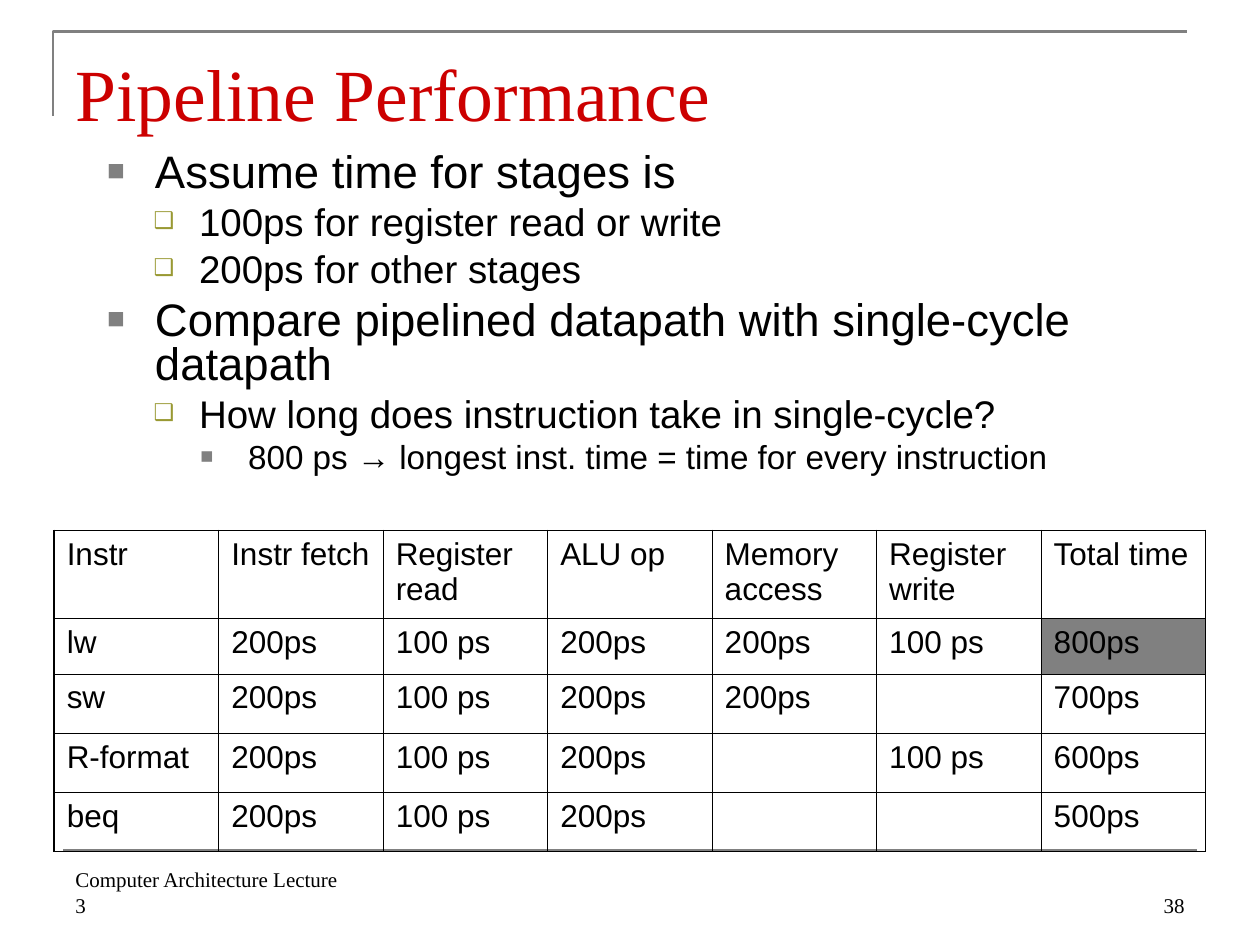
from lxml.etree import SubElement
from pptx import Presentation
from pptx.dml.color import RGBColor
from pptx.enum.shapes import MSO_CONNECTOR as Conn
from pptx.enum.text import MSO_ANCHOR as Anchor, MSO_AUTO_SIZE as AutoSize, PP_ALIGN as Align
from pptx.oxml.ns import qn
from pptx.util import Pt

PX = 9144
COLORS = {"text": "000000", "title": "CC0000", "gray": "808080", "olive": "999933"}
SERIF, SANS = "Times New Roman", "Arial"

LEVELS = [
    dict(size=26, left=38, hang=38, before=6.5, char="■", color="gray", pct=65),
    dict(size=22, left=73, hang=36, before=5.5, char="❑", color="olive", pct=60),
    dict(size=19, left=112, hang=38, before=4.8, char="■", color="gray", pct=65),
]
POINTS = [
    (0, "Assume time for stages is"),
    (1, "100ps for register read or write"),
    (1, "200ps for other stages"),
    (0, "Compare pipelined datapath with single-cycle datapath"),
    (1, "How long does instruction take in single-cycle?"),
    (2, "800 ps → longest inst. time = time for every instruction"),
]
TIMES = [
    ["Instr", "Instr fetch", "Register read", "ALU op", "Memory access", "Register write", "Total time"],
    ["lw", "200ps", "100 ps", "200ps", "200ps", "100 ps", "800ps"],
    ["sw", "200ps", "100 ps", "200ps", "200ps", "", "700ps"],
    ["R-format", "200ps", "100 ps", "200ps", "", "100 ps", "600ps"],
    ["beq", "200ps", "100 ps", "200ps", "", "", "500ps"],
]
ROW_HEIGHTS = [70, 44, 47, 47, 47]
LONGEST = (1, 6)


def rgb(name):
    return RGBColor.from_string(COLORS[name])


def emu(*lengths):
    return [n * PX for n in lengths]


def place(sp, box):
    sp.left, sp.top, sp.width, sp.height = emu(*box)


def format_runs(p, size, font, color="text"):
    for r in p.runs:
        r.font.size, r.font.name = Pt(size), font
        r.font.color.rgb = rgb(color)


def add_frame(slide, corner, rule):
    x, y, w, h = corner
    fb = slide.shapes.build_freeform(x, y + h, scale=PX)
    fb.add_line_segments([(x, y), (x + w, y)], close=False)
    sp = fb.convert_to_shape()
    sp.shadow.inherit = False
    sp.fill.background()
    x, y, w = rule
    line = slide.shapes.add_connector(Conn.STRAIGHT, *emu(x, y, x + w, y))
    SubElement(line._element.spPr, qn("a:effectLst"))
    for outline in (sp.line, line.line):
        outline.color.rgb = rgb("gray")
        outline.width = Pt(1.5)


def fill_title(sp, box, text):
    place(sp, box)
    tf = sp.text_frame
    tf.text = text
    tf.auto_size = AutoSize.NONE
    tf.vertical_anchor = Anchor.BOTTOM
    tf.margin_bottom = 0
    p = tf.paragraphs[0]
    p.alignment = Align.LEFT
    format_runs(p, 42, SERIF, "title")


def add_bullet(p, level):
    pPr = p._p.get_or_add_pPr()
    pPr.set("marL", str(level["left"] * PX))
    pPr.set("indent", str(-level["hang"] * PX))
    clr = SubElement(pPr, qn("a:buClr"))
    SubElement(clr, qn("a:srgbClr"), val=COLORS[level["color"]])
    SubElement(pPr, qn("a:buSzPct"), val=str(level["pct"] * 1000))
    SubElement(pPr, qn("a:buChar"), char=level["char"])


def fill_body(sp, box, points):
    place(sp, box)
    tf = sp.text_frame
    tf.auto_size = AutoSize.NONE
    for i, (depth, text) in enumerate(points):
        level = LEVELS[depth]
        p = tf.add_paragraph() if i else tf.paragraphs[0]
        p.text = text
        p.level = depth
        p.line_spacing = 0.8
        p.space_before = Pt(level["before"] if i else 0)
        add_bullet(p, level)
        format_runs(p, level["size"], SANS)


def set_borders(cell, widths):
    tcPr = cell._tc.get_or_add_tcPr()
    for side, width in zip("LRTB", widths):
        ln = SubElement(tcPr, qn(f"a:ln{side}"), w=str(Pt(width)))
        fill = SubElement(ln, qn("a:solidFill"))
        SubElement(fill, qn("a:srgbClr"), val=COLORS["text"])


def add_times(slide, box, rows):
    n_rows, n_cols = len(rows), len(rows[0])
    table = slide.shapes.add_table(n_rows, n_cols, *emu(*box)).table
    table.first_row = table.horz_banding = False
    for col in table.columns:
        col.width = box[2] * PX // n_cols
    for row, height in zip(table.rows, ROW_HEIGHTS):
        row.height = height * PX
    across = [1.08] + [0.45] * (n_cols - 1) + [1.08]
    down = [1.08, 0.75] + [0.45] * (n_rows - 2) + [1.08]
    for i, texts in enumerate(rows):
        for j, text in enumerate(texts):
            cell = table.cell(i, j)
            cell.text = text
            format_runs(cell.text_frame.paragraphs[0], 18, SANS)
            set_borders(cell, across[j:j + 2] + down[i:i + 2])
            if (i, j) == LONGEST:
                cell.fill.solid()
                cell.fill.fore_color.rgb = rgb("gray")
            else:
                cell.fill.background()


def add_footer(slide, box, text, align):
    tf = slide.shapes.add_textbox(*emu(*box)).text_frame
    tf.word_wrap = True
    tf.vertical_anchor = Anchor.BOTTOM
    tf.text = text
    p = tf.paragraphs[0]
    p.alignment = align
    format_runs(p, 12, SERIF)


def main():
    prs = Presentation()
    prs.slide_width, prs.slide_height = emu(1000, 750)
    slide = prs.slides.add_slide(prs.slide_layouts[1])
    add_frame(slide, (42, 25, 900, 67), (50, 675, 900))
    fill_title(slide.shapes.title, (50, 30, 900, 78), "Pipeline Performance")
    fill_body(slide.placeholders[1], (75, 117, 904, 284), POINTS)
    add_times(slide, (43, 421, 914, sum(ROW_HEIGHTS)), TIMES)
    add_footer(slide, (50, 683, 233, 50), "Computer Architecture Lecture 3", Align.LEFT)
    add_footer(slide, (717, 683, 233, 50), "38", Align.RIGHT)
    prs.save("out.pptx")


if __name__ == "__main__":
    main()
